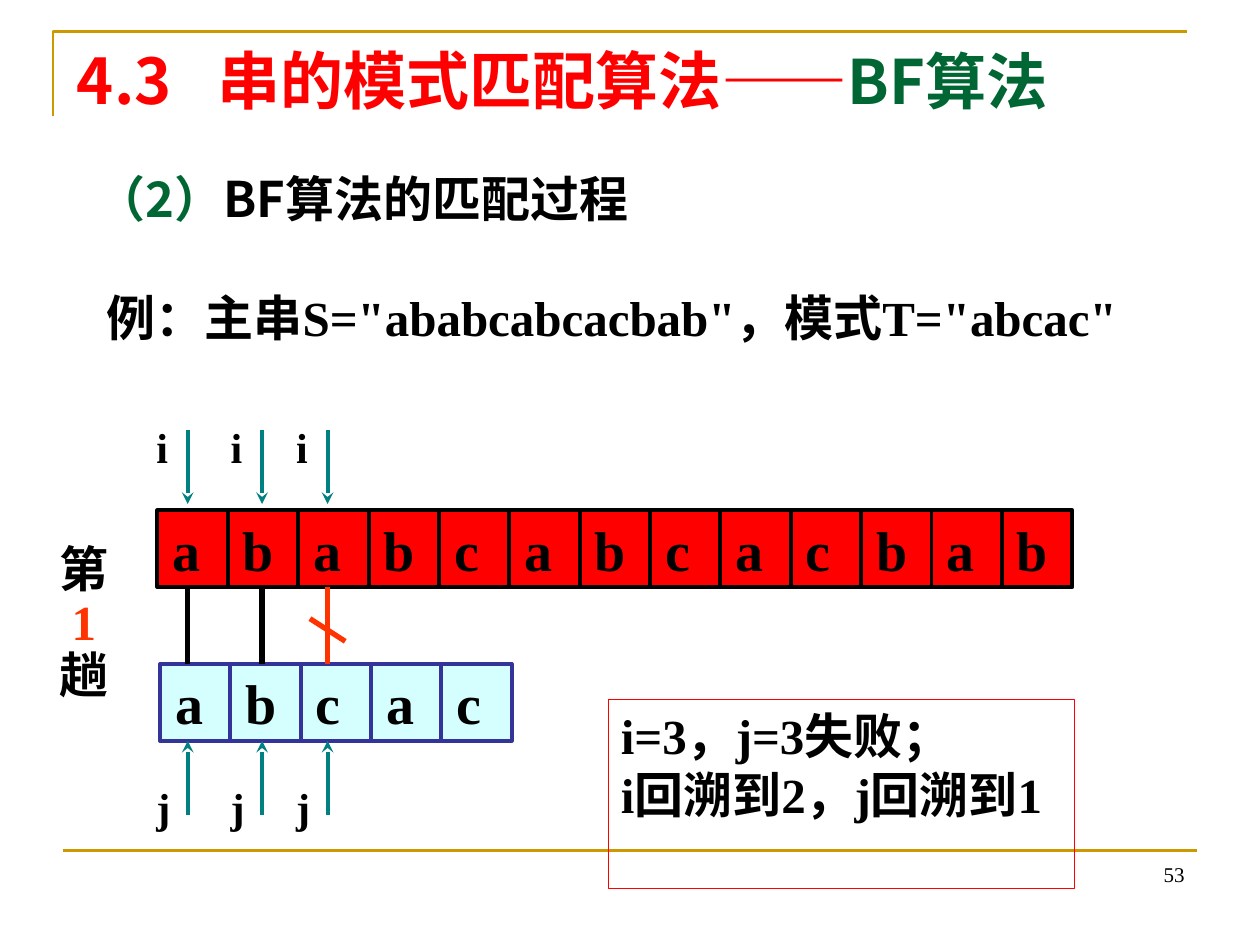
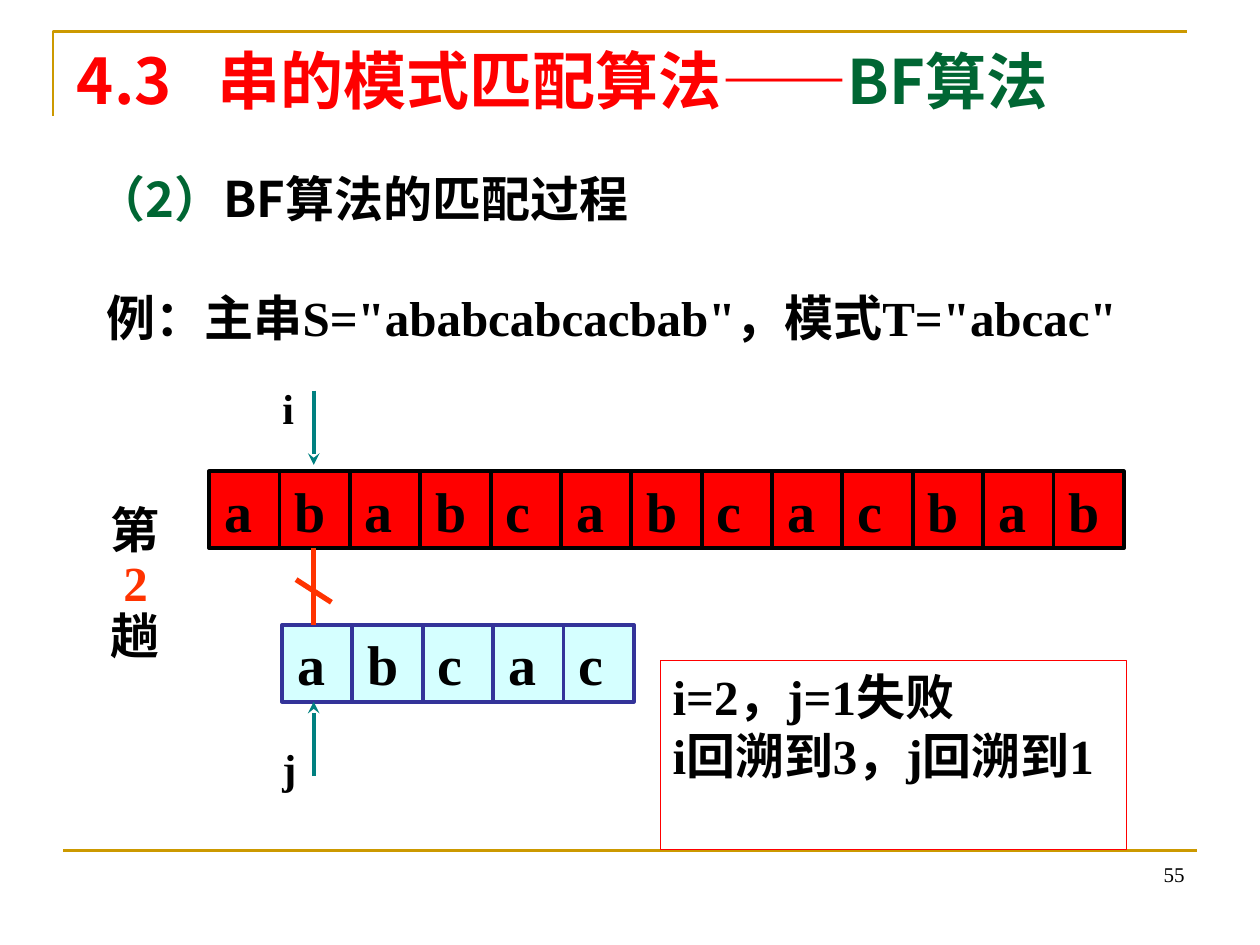
from lxml import etree
from pptx import Presentation
from pptx import util as u
from pptx.dml.color import RGBColor
from pptx.enum import shapes, text
from pptx.oxml import ns

RED = RGBColor(0xFF, 0x00, 0x00)
GREEN = RGBColor(0x00, 0x66, 0x33)
BLACK = RGBColor(0x00, 0x00, 0x00)
GOLD = RGBColor(0xCC, 0x99, 0x00)
TEAL = RGBColor(0x00, 0x80, 0x80)
ORANGE = RGBColor(0xFF, 0x33, 0x00)
NAVY = RGBColor(0x33, 0x33, 0x99)
PALE = RGBColor(0xD5, 0xFF, 0xFF)
SANS = "Noto Sans CJK SC"
SERIF = "Times New Roman"

MAIN_STRING = "ababcabcacbab"
PATTERN = "abcac"
BAR_WIDTH, BAR_HEIGHT = 7.26, 0.61
COLUMN = BAR_WIDTH / len(MAIN_STRING)
PATTERN_ROW = 2 * BAR_HEIGHT
POINTER_OFFSETS = [0.24, 0.83, 1.35]
JUSTIFY, LEFT = text.PP_ALIGN.JUSTIFY, text.PP_ALIGN.LEFT

rounds = [
    dict(page="53", number="1", left=1.25, top=4.05, shift=0, pointers=POINTER_OFFSETS,
         align=JUSTIFY, result=["i=3，j=3失败；", "i回溯到2，j回溯到1"]),
    dict(page="55", number="2", left=1.66, top=3.74, shift=1, pointers=POINTER_OFFSETS[1:2],
         align=LEFT, result=["i=2，j=1失败", "i回溯到3，j回溯到1"]),
]


def write(shape, paragraphs, size, name=SERIF, bold=True, align=LEFT, spacing=None,
          insets=(0.1, 0.05, 0.1, 0.05), anchor=text.MSO_ANCHOR.TOP, tabs=()):
    frame = shape.text_frame
    frame.word_wrap = True
    frame.auto_size = text.MSO_AUTO_SIZE.NONE
    frame.vertical_anchor = anchor
    frame.margin_left, frame.margin_top, frame.margin_right, frame.margin_bottom = map(u.Inches, insets)
    for index, runs in enumerate(paragraphs):
        paragraph = frame.add_paragraph() if index else frame.paragraphs[0]
        paragraph.alignment = align
        if spacing:
            paragraph.line_spacing = spacing
        if tabs:
            tab_list = etree.SubElement(paragraph._p.get_or_add_pPr(), ns.qn("a:tabLst"))
            for position in tabs:
                etree.SubElement(tab_list, ns.qn("a:tab"), pos=str(u.Inches(position)), algn="l")
        for words, color in runs:
            run = paragraph.add_run()
            run.text = words
            run.font.name, run.font.size, run.font.bold = name, u.Pt(size), bold
            run.font.color.rgb = color
            etree.SubElement(run._r.get_or_add_rPr(), ns.qn("a:ea"), typeface=SANS)
    return frame


def draw_line(slide, x1, y1, x2, y2, color, width, arrow=False):
    line = slide.shapes.add_connector(shapes.MSO_CONNECTOR.STRAIGHT, *map(u.Inches, (x1, y1, x2, y2)))
    line.line.color.rgb = color
    line.line.width = u.Pt(width)
    if arrow:
        etree.SubElement(line.line._get_or_add_ln(), ns.qn("a:tailEnd"), type="stealth")
    etree.SubElement(line._element.spPr, ns.qn("a:effectLst"))


presentation = Presentation()
presentation.slide_width, presentation.slide_height = u.Inches(10), u.Inches(7.5)

for step in rounds:
    slide = presentation.slides.add_slide(presentation.slide_layouts[5])
    left, top = step["left"], step["top"]

    builder = slide.shapes.build_freeform(u.Inches(0.42), u.Inches(0.92))
    builder.add_line_segments([(u.Inches(0.42), u.Inches(0.25)), (u.Inches(9.42), u.Inches(0.25))], close=False)
    corner = builder.convert_to_shape()
    corner.shadow.inherit = False
    corner.fill.background()
    corner.line.color.rgb, corner.line.width = GOLD, u.Pt(1.5)
    draw_line(slide, 0.5, 6.75, 9.5, 6.75, GOLD, 1.5)

    page = slide.shapes.add_textbox(*map(u.Inches, (7.17, 6.59, 2.33, 0.5)))
    write(page, [[(step["page"], BLACK)]], 12, bold=False, align=text.PP_ALIGN.RIGHT,
          anchor=text.MSO_ANCHOR.BOTTOM)

    title = slide.shapes.title
    title.left, title.top, title.width, title.height = map(u.Inches, (0.51, 0.28, 9, 0.91))
    frame = write(title, [[("4.3\t串的模式匹配算法——", RED), ("BF算法", GREEN)]], 36, SANS, tabs=[1.12])
    frame.paragraphs[0].runs[1].font.size = u.Pt(35)

    heading = slide.shapes.add_textbox(*map(u.Inches, (0.67, 1.15, 8.86, 0.94)))
    write(heading, [[("（2）", GREEN), ("BF算法的匹配过程", BLACK)]], 28, SANS, spacing=1.3)

    example = slide.shapes.add_textbox(*map(u.Inches, (0.75, 2.23, 8.92, 0.57)))
    write(example, [[(f'例：主串S="{MAIN_STRING}"，模式T="{PATTERN}"', BLACK)]], 28, align=JUSTIFY)

    pattern_left = left + 0.02 + step["shift"] * COLUMN
    for letters, bar_left, bar_top, fill, outline in [
        (MAIN_STRING, left, top, RED, BLACK),
        (PATTERN, pattern_left, top + PATTERN_ROW, PALE, NAVY),
    ]:
        bar = slide.shapes.add_shape(shapes.MSO_SHAPE.RECTANGLE, *map(
            u.Inches, (bar_left, bar_top, len(letters) * COLUMN, BAR_HEIGHT)))
        bar.shadow.inherit = False
        bar.fill.solid()
        bar.fill.fore_color.rgb = fill
        bar.line.color.rgb, bar.line.width = outline, u.Pt(2.25)
        dividers = [index * COLUMN for index in range(1, len(letters))]
        write(bar, [[("\t".join(letters), BLACK)]], 32, insets=(0.12, 0, 0.02, 0),
              anchor=text.MSO_ANCHOR.MIDDLE, tabs=dividers)
        for offset in dividers:
            draw_line(slide, bar_left + offset, bar_top, bar_left + offset, bar_top + BAR_HEIGHT, outline, 2.25)

    for offset in step["pointers"]:
        x = left + offset
        failed = offset == step["pointers"][-1]
        draw_line(slide, x, top + BAR_HEIGHT, x, top + PATTERN_ROW, ORANGE if failed else BLACK, 3)
        if failed:
            draw_line(slide, x - 0.14, top + 0.86, x + 0.14, top + 1.04, ORANGE, 3)
        for letter, label_top, start, end in [("i", -0.75, -0.64, -0.05), ("j", 2.1, 2.42, 1.83)]:
            draw_line(slide, x, top + start, x, top + end, TEAL, 2.25, arrow=True)
            label = slide.shapes.add_textbox(*map(u.Inches, (x - 0.25, top + label_top, 0.25, 0.5)))
            write(label, [[(letter, BLACK)]], 24, insets=(0, 0.05, 0, 0.05))

    pass_label = slide.shapes.add_textbox(*map(u.Inches, (left - 0.88, top + 0.23, 0.71, 1.36)))
    frame = write(pass_label, [[("第", BLACK)], [(step["number"], ORANGE)], [("趟", BLACK)]], 28, spacing=0.9)
    frame.paragraphs[1]._p.get_or_add_pPr().set("marL", str(u.Inches(0.1)))

    result = slide.shapes.add_shape(shapes.MSO_SHAPE.RECTANGLE, *map(
        u.Inches, (left + 3.58, top + 1.5, 3.7, 1.5)))
    result.shadow.inherit = False
    result.fill.background()
    result.line.color.rgb, result.line.width = RED, u.Pt(0.75)
    write(result, [[(words, BLACK)] for words in step["result"]], 28, align=step["align"])

presentation.save("out.pptx")
